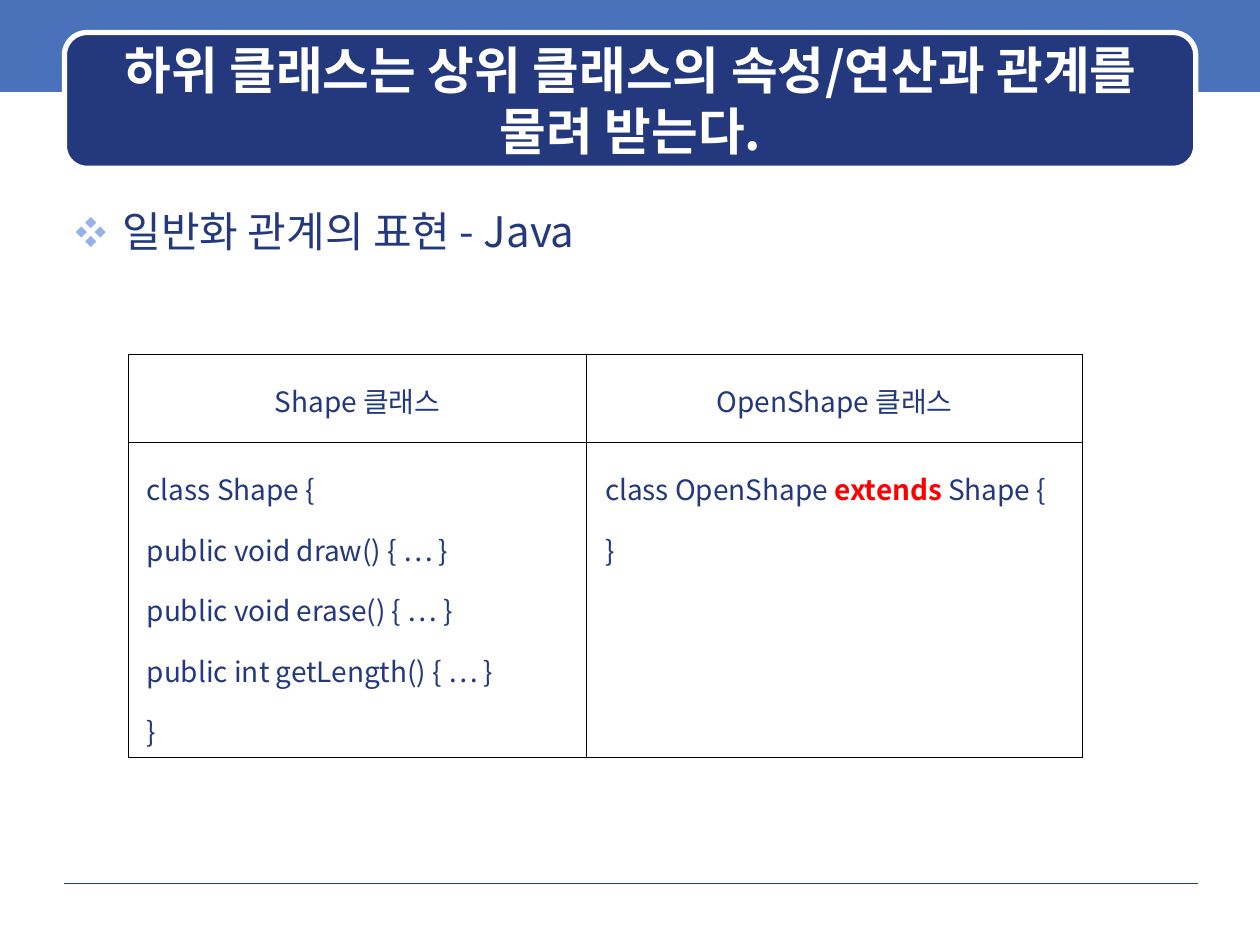
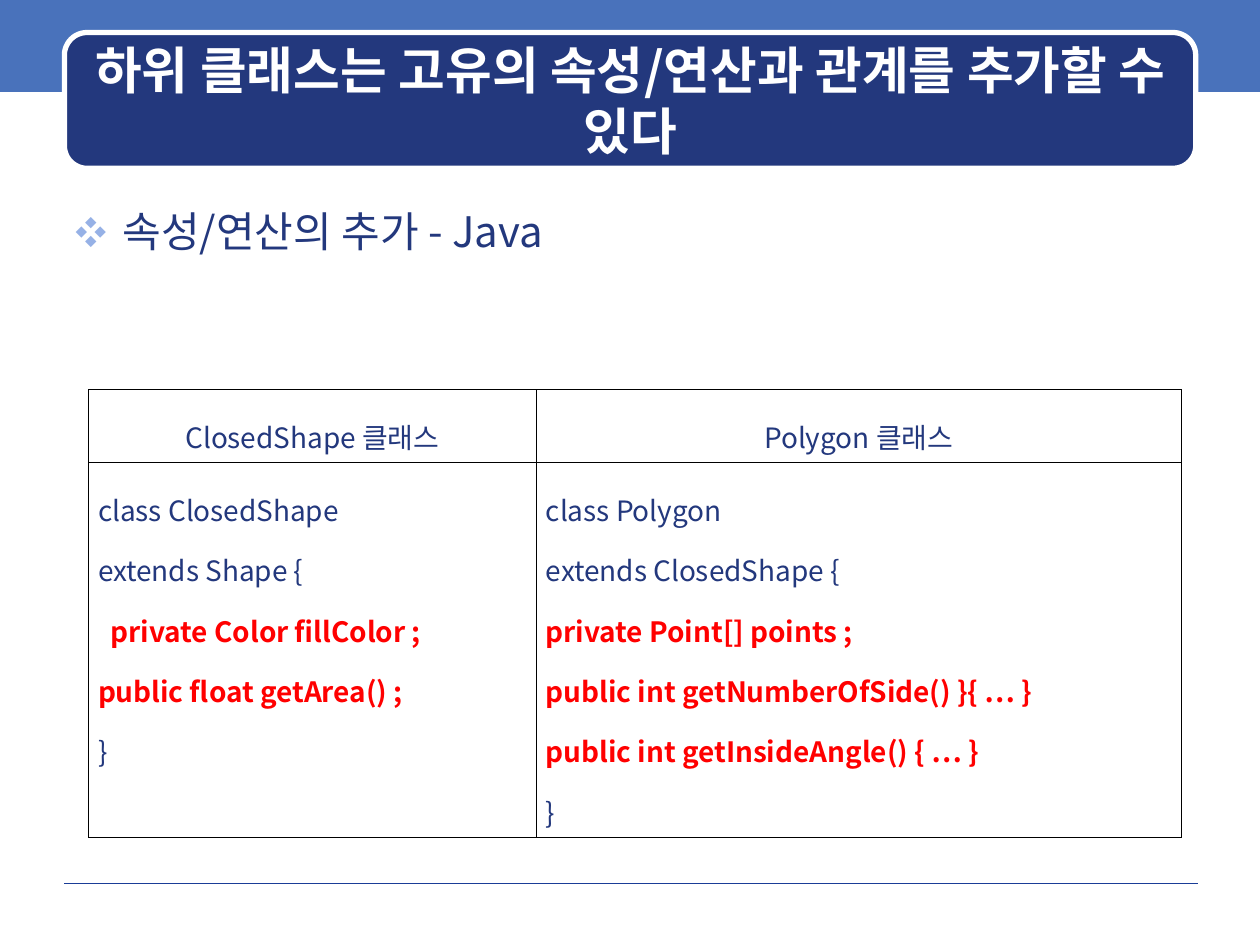
from dataclasses import dataclass
from typing import NamedTuple

from lxml.etree import SubElement
from pptx import Presentation
from pptx.dml.color import RGBColor
from pptx.enum.shapes import MSO_CONNECTOR as Connector, MSO_SHAPE as Preset
from pptx.enum.text import MSO_ANCHOR as Anchor, MSO_AUTO_SIZE as AutoSize, PP_ALIGN as Align
from pptx.oxml.ns import qn
from pptx.util import Pt

FONT = "Noto Sans CJK KR"
NAVY, BLUE, PALE_BLUE = "23387D", "4972BB", "96B1E6"
RULE_BLUE, WHITE, BLACK, RED = "1A3D97", "FFFFFF", "000000", "FF0000"


class Box(NamedTuple):
    left: float
    top: float
    width: float
    height: float

    def lengths(self) -> list:
        return [Pt(value) for value in self]


BAND = Box(0, -2, 720, 54.5)
PLATE = Box(36.8, 18.6, 646.5, 77.6)
HEADLINE = Box(43.2, 25.2, 634.3, 63.4)
TOPIC = Box(36, 113.8, 648, 383.8)
FOOTER_LEFT, FOOTER_RIGHT, FOOTER_Y = 36.7, 684.7, 504.7


class Line(NamedTuple):
    text: str
    highlight: str = ""


def added(text: str) -> Line:
    return Line(text, text)


@dataclass
class ClassColumn:
    heading: str
    width: float
    code: list[Line]


@dataclass
class ClassPage:
    headline: str
    topic: str
    left: float
    top: float
    row_heights: tuple[float, float]
    side_margin: float
    columns: list[ClassColumn]


PAGES = [
    ClassPage(
        "하위 클래스는 상위 클래스의 속성/연산과 관계를 물려 받는다.",
        "일반화 관계의 표현 - Java",
        73.4, 202.4, (50.2, 180.2), 10.5,
        [
            ClassColumn("Shape 클래스", 261.9, [
                Line("class Shape {"),
                Line("public void draw() { … }"),
                Line("public void erase() { … }"),
                Line("public int getLength() { … }"),
                Line("}"),
            ]),
            ClassColumn("OpenShape 클래스", 283.3, [
                Line("class OpenShape extends Shape {", "extends"),
                Line("}"),
            ]),
        ],
    ),
    ClassPage(
        "하위 클래스는 고유의 속성/연산과 관계를 추가할 수 있다",
        "속성/연산의 추가 - Java",
        50.5, 222.5, (41.7, 214.4), 5.5,
        [
            ClassColumn("ClosedShape 클래스", 255.9, [
                Line("class ClosedShape"),
                Line("extends Shape {"),
                added("  private Color fillColor ;"),
                added("public float getArea() ;"),
                Line("}"),
            ]),
            ClassColumn("Polygon 클래스", 368.6, [
                Line("class Polygon"),
                Line("extends ClosedShape {"),
                added("private Point[] points ;"),
                added("public int getNumberOfSide() }{ … }"),
                added("public int getInsideAngle() { … }"),
                Line("}"),
            ]),
        ],
    ),
]


def rgb(color: str) -> RGBColor:
    return RGBColor.from_string(color)


def style(paragraph, size: float, color: str, bold: bool = False) -> None:
    font = paragraph.font
    font.size, font.bold, font.name = Pt(size), bold, FONT
    font.color.rgb = rgb(color)
    defaults = paragraph._p.pPr.find(qn("a:defRPr"))
    SubElement(defaults, qn("a:ea"), typeface=FONT)


def add_panel(slide, preset: Preset, box: Box, fill: str):
    panel = slide.shapes.add_shape(preset, *box.lengths())
    panel.shadow.inherit = False
    panel.fill.solid()
    panel.fill.fore_color.rgb = rgb(fill)
    panel.line.fill.background()
    return panel


def add_frame(slide) -> None:
    add_panel(slide, Preset.RECTANGLE, BAND, BLUE)
    footer = slide.shapes.add_connector(
        Connector.STRAIGHT, Pt(FOOTER_LEFT), Pt(FOOTER_Y), Pt(FOOTER_RIGHT), Pt(FOOTER_Y))
    footer.line.color.rgb = rgb(RULE_BLUE)
    footer.line.width = Pt(0.25)
    SubElement(footer._element.spPr, qn("a:effectLst"))
    plate = add_panel(slide, Preset.ROUNDED_RECTANGLE, PLATE, NAVY)
    plate.line.color.rgb = rgb(WHITE)
    plate.line.width = Pt(3)


def add_headline(slide, text: str) -> None:
    title = slide.shapes.title
    title.left, title.top, title.width, title.height = HEADLINE.lengths()
    title.element.getparent().append(title.element)
    frame = title.text_frame
    frame.text = text
    frame.auto_size = AutoSize.NONE
    frame.vertical_anchor = Anchor.MIDDLE
    paragraph = frame.paragraphs[0]
    paragraph.alignment = Align.CENTER
    paragraph.line_spacing = 1.0
    style(paragraph, 29, WHITE, bold=True)


def add_topic(slide, text: str) -> None:
    frame = slide.shapes.add_textbox(*TOPIC.lengths()).text_frame
    frame.word_wrap = True
    paragraph = frame.paragraphs[0]
    paragraph.text = text
    properties = paragraph._p.get_or_add_pPr()
    properties.set("marL", str(Pt(27)))
    properties.set("indent", str(Pt(-27)))
    bullet_color = SubElement(properties, qn("a:buClr"))
    SubElement(bullet_color, qn("a:srgbClr"), val=PALE_BLUE)
    SubElement(properties, qn("a:buSzPct"), val="75000")
    SubElement(properties, qn("a:buFont"), typeface=FONT)
    SubElement(properties, qn("a:buChar"), char="❖")
    style(paragraph, 24, NAVY)


def format_cell(cell, side_margin: float) -> None:
    cell.margin_left = cell.margin_right = Pt(side_margin)
    cell.margin_top = cell.margin_bottom = Pt(3.6)
    properties = cell._tc.get_or_add_tcPr()
    for side in ("lnL", "lnR", "lnT", "lnB"):
        border = SubElement(properties, qn(f"a:{side}"), w=str(Pt(0.45)))
        SubElement(SubElement(border, qn("a:solidFill")), qn("a:srgbClr"), val=BLACK)
    cell.fill.background()


def write_lines(cell, lines: list[Line], alignment: Align) -> None:
    frame = cell.text_frame
    for index, line in enumerate(lines):
        paragraph = frame.add_paragraph() if index else frame.paragraphs[0]
        paragraph.alignment = alignment
        paragraph.line_spacing = 1.5
        all_new = line.highlight == line.text
        style(paragraph, 16, RED if all_new else NAVY, bold=all_new)
        if all_new or not line.highlight:
            paragraph.add_run().text = line.text
            continue
        before, keyword, after = line.text.partition(line.highlight)
        for part in (before, keyword, after):
            run = paragraph.add_run()
            run.text = part
            if part == keyword:
                run.font.bold = True
                run.font.color.rgb = rgb(RED)


def add_class_table(slide, page: ClassPage) -> None:
    width = sum(column.width for column in page.columns)
    box = Box(page.left, page.top, width, sum(page.row_heights))
    table = slide.shapes.add_table(2, len(page.columns), *box.lengths()).table
    table.first_row = table.horz_banding = False
    for row, height in zip(table.rows, page.row_heights):
        row.height = Pt(height)
    for index, column in enumerate(page.columns):
        table.columns[index].width = Pt(column.width)
        heading, code = table.cell(0, index), table.cell(1, index)
        for cell in (heading, code):
            format_cell(cell, page.side_margin)
        write_lines(heading, [Line(column.heading)], Align.CENTER)
        write_lines(code, column.code, Align.JUSTIFY)


def main() -> None:
    deck = Presentation()
    deck.slide_width, deck.slide_height = Pt(720), Pt(540)
    title_only = deck.slide_layouts[5]
    for page in PAGES:
        slide = deck.slides.add_slide(title_only)
        add_frame(slide)
        add_headline(slide, page.headline)
        add_topic(slide, page.topic)
        add_class_table(slide, page)
    deck.save("out.pptx")


if __name__ == "__main__":
    main()
